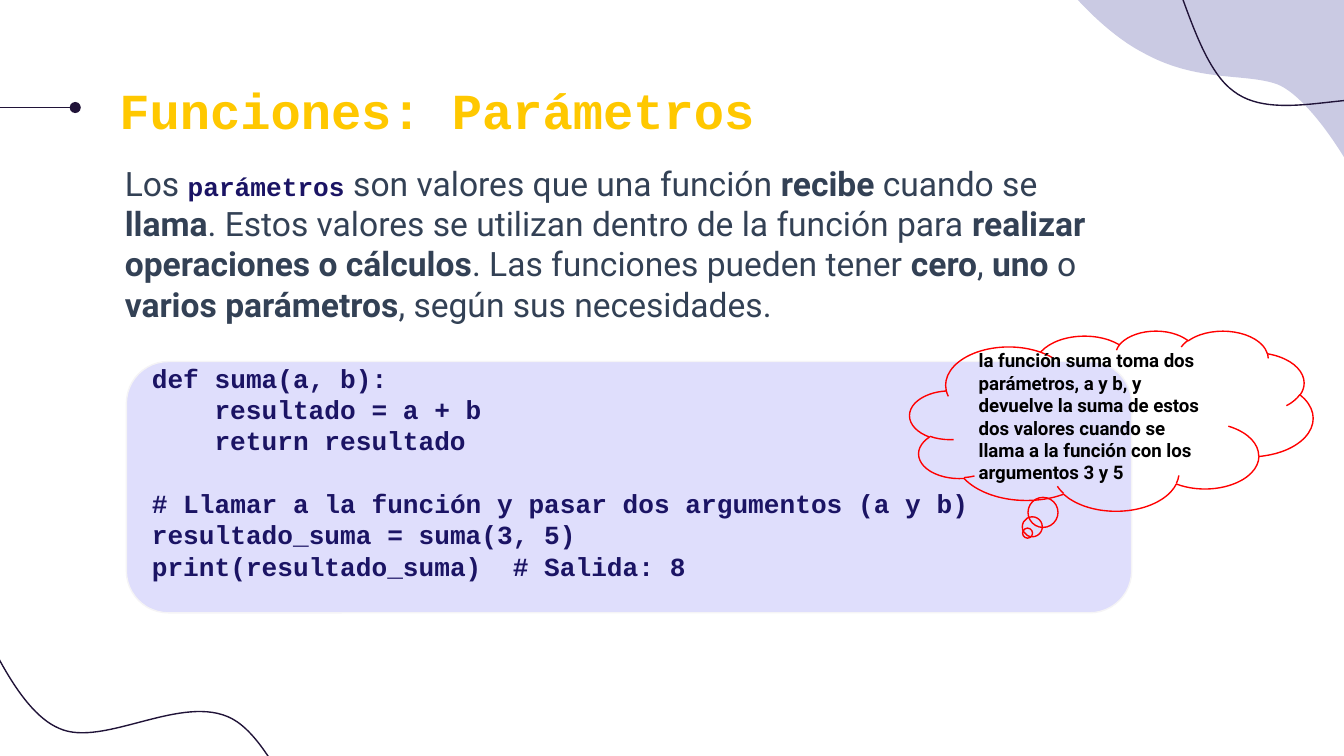
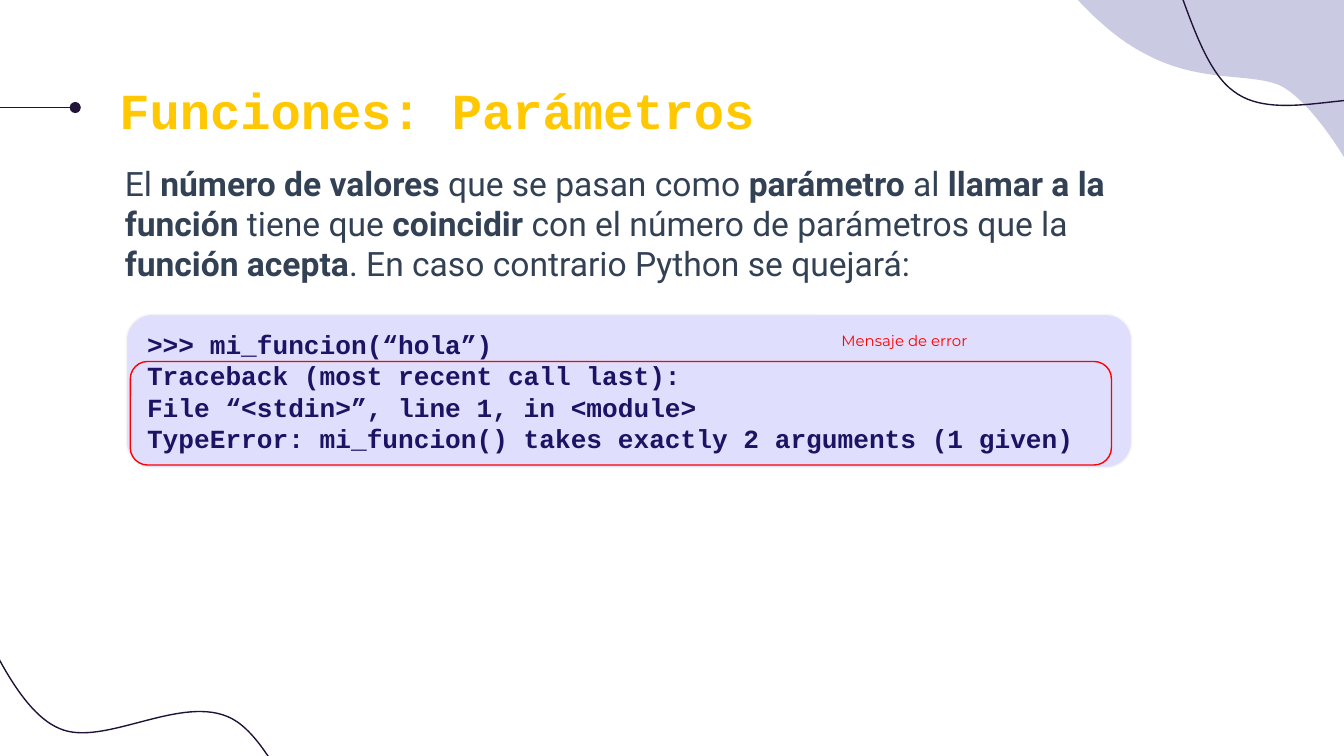
import lxml.etree
import pptx
import pptx.dml.color
import pptx.enum.shapes
import pptx.enum.text
import pptx.oxml.ns
import pptx.util

RGB = pptx.dml.color.RGBColor
Inches = pptx.util.Inches
Pt = pptx.util.Pt
KIND = pptx.enum.shapes.MSO_SHAPE
ALIGN = pptx.enum.text.PP_ALIGN
ANCHOR = pptx.enum.text.MSO_ANCHOR
qn = pptx.oxml.ns.qn

# Colours
GOLD = RGB(0xFF, 0xC8, 0x00)
SLATE = RGB(0x33, 0x41, 0x55)
NAVY = RGB(0x1B, 0x14, 0x64)
INK = RGB(0x20, 0x13, 0x38)
MIST = RGB(0xCA, 0xCA, 0xE3)
LILAC = RGB(0xDF, 0xDE, 0xFC)
PALE = RGB(0xF5, 0xF4, 0xF6)
RED = RGB(0xFF, 0x00, 0x00)
BLACK = RGB(0x00, 0x00, 0x00)

# Fonts
MONO = "Courier New"
SANS = "Roboto"
LABEL = "Montserrat"

# Curves: a start point, then three points for each Bézier segment
BLOB = [(10, 1.17),
        (10, 1.17), (9.74, 0.73), (9.51, 0.63),
        (9.27, 0.54), (8.91, 0.62), (8.5, 0.39),
        (8.25, 0.26), (8.02, 0), (8.02, 0),
        (8.02, 0), (10, 0), (10, 0)]
TOP_WAVE = [(11, 1.82),
            (10.91, 1.65), (10.77, 0.99), (10.47, 0.8),
            (10.17, 0.61), (9.52, 0.94), (9.18, 0.68),
            (8.83, 0.43), (8.73, -0.55), (8.42, -0.72),
            (8.1, -0.88), (7.48, -0.36), (7.3, -0.29)]
LOW_WAVE = [(-0.23, 4.48),
            (-0.12, 4.64), (0.11, 5.28), (0.44, 5.42),
            (0.77, 5.57), (1.36, 5.15), (1.73, 5.35),
            (2.11, 5.56), (2.35, 6.52), (2.68, 6.63),
            (3.02, 6.75), (3.56, 6.15), (3.73, 6.06)]


def put(frame, text, size=18, font=SANS, color=SLATE, bold=False,
        align=ALIGN.LEFT, anchor=ANCHOR.TOP, foot=0.1):
    """Fill a frame: *bold*, *`code*, leading spaces indent, blank lines space."""
    frame.word_wrap = True
    frame.vertical_anchor = anchor
    frame.margin_left = frame.margin_right = frame.margin_top = Inches(0.1)
    frame.margin_bottom = Inches(foot)
    gap, para = 0, None
    for line in text.split("\n"):
        if not line:
            gap += 1.2 * size
            continue
        para = frame.add_paragraph() if para else frame.paragraphs[0]
        para.alignment = align
        para.space_before = Pt(gap)
        gap = 0
        body = line.lstrip()
        indent = Pt(0.6 * size * (len(line) - len(body)))
        para._p.get_or_add_pPr().set("marL", str(indent))
        for num, piece in enumerate(body.split("*")):
            if not piece:
                continue
            code = piece.startswith("`")
            run = para.add_run()
            run.text = piece.lstrip("`")
            run.font.name = MONO if code else font
            run.font.size = Pt(14 if code else size)
            run.font.color.rgb = NAVY if code else color
            run.font.bold = bold or num % 2 == 1


class Deck:
    """Holds the shared style and the current slide."""

    def __init__(self):
        self.show = pptx.Presentation()
        self.show.slide_width = Inches(10)
        self.show.slide_height = Inches(10) * 9 // 16
        self.shapes = None

    def page(self, title):
        """Start a slide with its trim and title."""
        slide = self.show.slides.add_slide(self.show.slide_layouts[6])
        self.shapes = slide.shapes
        self.curve(BLOB, fill=MIST)
        self.pin(0.56, 0, 0.8)
        self.curve(TOP_WAVE, line=INK)
        self.curve(LOW_WAVE, line=INK)
        self.text(0.79, 0.49, 8.43, 0.63, title, size=27, font=MONO,
                  color=GOLD, bold=True)

    def paint(self, shape, fill=None, line=None):
        shape.shadow.inherit = False
        if fill is None:
            shape.fill.background()
        else:
            shape.fill.solid()
            shape.fill.fore_color.rgb = fill
        if line is None:
            shape.line.fill.background()
        else:
            shape.line.color.rgb = line
            shape.line.width = Pt(0.75)

    def curve(self, points, fill=None, line=None):
        """Draw Bézier segments; a filled curve is closed."""
        spots = [(Inches(x), Inches(y)) for x, y in points]
        pen = self.shapes.build_freeform(*spots[0], scale=1.0)
        pen.add_line_segments(spots[1:], close=fill is not None)
        shape = pen.convert_to_shape()
        legs = list(shape._element.iter(qn("a:lnTo")))
        for start in range(0, len(points) - 1, 3):
            trio = legs[start:start + 3]
            bend = lxml.etree.Element(qn("a:cubicBezTo"))
            trio[0].addprevious(bend)
            for leg in trio:
                bend.append(leg[0])
                leg.getparent().remove(leg)
        self.paint(shape, fill, line)

    def pin(self, head, tail, y):
        """Draw a level line with a dot at its head."""
        line = self.shapes.add_connector(
            pptx.enum.shapes.MSO_CONNECTOR.STRAIGHT,
            Inches(head), Inches(y), Inches(tail), Inches(y))
        line.line.color.rgb = INK
        line.line.width = Pt(0.75)
        lxml.etree.SubElement(line.line._get_or_add_ln(), qn("a:headEnd"),
                              type="oval")
        lxml.etree.SubElement(line._element.spPr, qn("a:effectLst"))

    def text(self, x, y, wide, high, text, **style):
        box = self.shapes.add_textbox(*map(Inches, (x, y, wide, high)))
        put(box.text_frame, text, **style)

    def shape(self, kind, x, y, wide, high, adjust, fill=None, line=None):
        shape = self.shapes.add_shape(kind, *map(Inches, (x, y, wide, high)))
        for num, value in enumerate(adjust):
            shape.adjustments[num] = value
        self.paint(shape, fill, line)
        return shape

    def code(self, y, high, text, foot=0.1):
        """Draw a rounded panel of code."""
        panel = self.shape(KIND.ROUNDED_RECTANGLE, 0.94, y, 7.48, high,
                           [0.167], LILAC, PALE)
        put(panel.text_frame, text, size=14, font=MONO, color=NAVY,
            bold=True, anchor=ANCHOR.MIDDLE, foot=foot)


def main():
    deck = Deck()
    title = "Funciones: Parámetros"

    # Slide 1: what parameters are
    deck.page(title)
    deck.text(0.83, 1.11, 7.71, 1.43,
              "Los *`parámetros* son valores que una función *recibe *cuando "
              "se *llama*. Estos valores se utilizan dentro de la función para"
              "* realizar operaciones o cálculos*. Las funciones pueden tener "
              "*cero*, *uno *o *varios parámetros*, según sus necesidades.")
    deck.code(2.69, 1.87, """def suma(a, b):
    resultado = a + b
    return resultado

# Llamar a la función y pasar dos argumentos (a y b)
resultado_suma = suma(3, 5)
print(resultado_suma)  # Salida: 8""", foot=0.33)
    cloud = deck.shape(KIND.CLOUD_CALLOUT, 6.77, 2.46, 3, 1.34,
                       [-0.208, 0.625], line=RED)
    put(cloud.text_frame,
        "la función suma toma dos parámetros, a y b, y devuelve la suma de "
        "estos dos valores cuando se llama a la función con los argumentos "
        "3 y 5", size=10, color=BLACK, bold=True, anchor=ANCHOR.MIDDLE)

    # Slide 2: a wrong number of arguments
    deck.page(title)
    deck.text(0.83, 1.11, 7.71, 3.71,
              "El *número de valores* que se pasan como *parámetro *al "
              "*llamar a la función* tiene que *coincidir* con el número de "
              "parámetros que la *función acepta*. En caso contrario Python "
              "se quejará:")
    deck.code(2.34, 1.14, """>>> mi_funcion(“hola”)
Traceback (most recent call last):
File “<stdin>”, line 1, in <module>
TypeError: mi_funcion() takes exactly 2 arguments (1 given)""")
    deck.shape(KIND.ROUNDED_RECTANGLE, 0.97, 2.69, 7.3, 0.77, [0.167],
               line=RED)
    deck.text(5.63, 2.34, 2.2, 0.38, "Mensaje de error", size=8, font=LABEL,
              color=RED, align=ALIGN.CENTER, anchor=ANCHOR.MIDDLE)

    deck.show.save("out.pptx")


if __name__ == "__main__":
    main()
